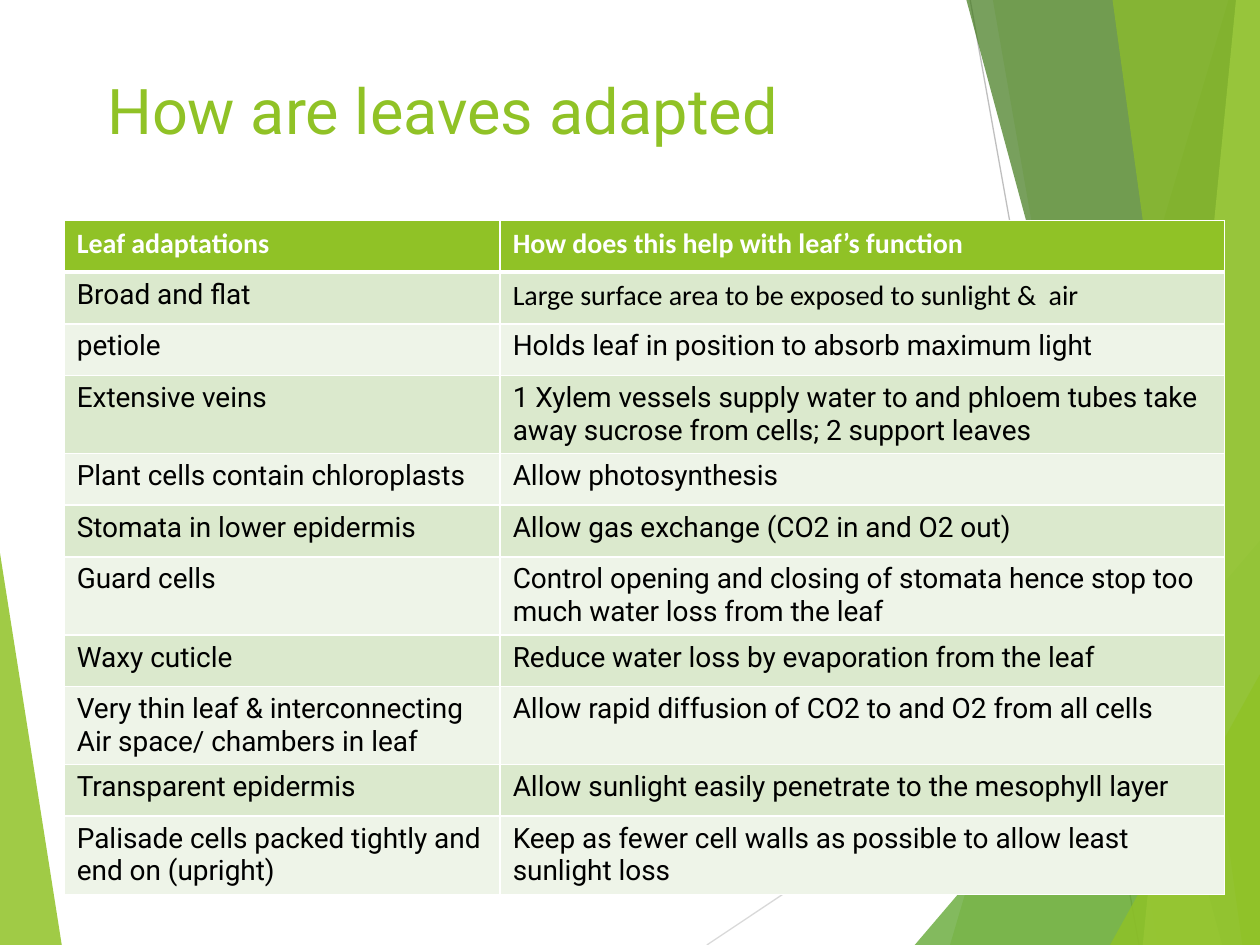
from dataclasses import dataclass

import pptx
import pptx.dml.color
import pptx.enum.shapes
import pptx.enum.text
import pptx.oxml
import pptx.oxml.ns
import pptx.util
from pptx.util import Inches

RGB = pptx.dml.color.RGBColor.from_string


@dataclass(frozen=True)
class Theme:
    lime: str = "90C226"
    green: str = "54A021"
    forest: str = "3F7819"
    pale: str = "C0E474"
    white: str = "FFFFFF"
    black: str = "000000"
    bands: tuple = ("DBE9CD", "EEF4E8")
    body_font: str = "Roboto"
    header_font: str = "Calibri"
    title_size: int = 36
    table_size: int = 16


@dataclass(frozen=True)
class Facet:
    points: tuple
    color: str
    opacity: int


@dataclass(frozen=True)
class Ray:
    start: tuple
    end: tuple
    color: str


@dataclass(frozen=True)
class Adaptation:
    feature: str
    benefit: str
    tall: bool = False
    benefit_font: str = "Roboto"


THEME = Theme()
WIDTH, HEIGHT = 10, 7.5
ROW_HEIGHT, TALL_ROW_HEIGHT = 0.41, 0.62
COLUMN_WIDTHS = (3.46, 5.75)


def right_facet(top: float, bottom: float, color: str, opacity: int) -> Facet:
    points = ((top, 0), (bottom, HEIGHT), (WIDTH, HEIGHT), (WIDTH, 0))
    return Facet(points, color, opacity)


def corner_facet(left: float, top: float, color: str, opacity: int) -> Facet:
    points = ((left, HEIGHT), (WIDTH, top), (WIDTH, HEIGHT))
    return Facet(points, color, opacity)


DECORATIONS = (
    Facet(((0, 4.39), (0.49, HEIGHT), (0, HEIGHT)), THEME.lime, 85),
    Ray((5.61, HEIGHT), (WIDTH, 4.57), "D9D9D9"),
    Ray((7.7, 0), (9.04, HEIGHT), "BFBFBF"),
    right_facet(9.75, 7.54, THEME.lime, 30),
    right_facet(7.88, 9.19, THEME.lime, 20),
    corner_facet(7.26, 4.29, THEME.green, 72),
    right_facet(7.67, 9.7, THEME.forest, 70),
    right_facet(9.81, 9.07, THEME.pale, 70),
    right_facet(8.83, 9.86, THEME.lime, 65),
    corner_facet(8.81, 5.35, THEME.lime, 80),
)

ADAPTATIONS = (
    Adaptation("Broad and flat", "Large surface area to be exposed to sunlight &  air",
               benefit_font="Calibri"),
    Adaptation("petiole", "Holds leaf in position to absorb maximum light"),
    Adaptation("Extensive veins", "1 Xylem vessels supply water to and phloem tubes take "
               "away sucrose from cells; 2 support leaves", tall=True),
    Adaptation("Plant cells contain chloroplasts", "Allow photosynthesis"),
    Adaptation("Stomata in lower epidermis", "Allow gas exchange (CO2 in and O2 out)"),
    Adaptation("Guard cells", "Control opening and closing of stomata hence stop too "
               "much water loss from the leaf", tall=True),
    Adaptation("Waxy cuticle", "Reduce water loss by evaporation from the leaf"),
    Adaptation("Very thin leaf & interconnecting Air space/ chambers in leaf",
               "Allow rapid diffusion of CO2 to and O2 from all cells", tall=True),
    Adaptation("Transparent epidermis", "Allow sunlight easily penetrate to the mesophyll layer"),
    Adaptation("Palisade cells packed tightly and end on (upright)",
               "Keep as fewer cell walls as possible to allow least sunlight loss", tall=True),
)


def draw_facet(s: pptx.slide.Slide, facet: Facet) -> None:
    start, *rest = [(Inches(x), Inches(y)) for x, y in facet.points]
    builder = s.shapes.build_freeform(*start, scale=1.0)
    builder.add_line_segments(rest, close=True)
    sp = builder.convert_to_shape()
    sp.shadow.inherit = False
    sp.line.fill.background()
    sp.fill.solid()
    sp.fill.fore_color.rgb = RGB(facet.color)
    color = sp._element.spPr.find(".//" + pptx.oxml.ns.qn("a:srgbClr"))
    alpha = color.makeelement(pptx.oxml.ns.qn("a:alpha"), {"val": str(facet.opacity * 1000)})
    color.append(alpha)


def draw_ray(s: pptx.slide.Slide, ray: Ray) -> None:
    ends = [Inches(v) for v in (*ray.start, *ray.end)]
    line = s.shapes.add_connector(pptx.enum.shapes.MSO_CONNECTOR.STRAIGHT, *ends)
    line.line.color.rgb = RGB(ray.color)
    line.line.width = pptx.util.Pt(0.75)
    sp_pr = line._element.spPr
    sp_pr.append(sp_pr.makeelement(pptx.oxml.ns.qn("a:effectLst"), {}))


def style_font(font: pptx.text.text.Font, name: str, size: int, color: str,
               bold: bool = False) -> None:
    font.name = name
    font.size = pptx.util.Pt(size)
    font.bold = bold
    font.color.rgb = RGB(color)


def add_borders(cell: pptx.table._Cell, top: float, bottom: float) -> None:
    tc_pr = cell._tc.get_or_add_tcPr()
    for side, points in (("L", 1), ("R", 1), ("T", top), ("B", bottom)):
        tc_pr.append(pptx.oxml.parse_xml(
            f'<a:ln{side} {pptx.oxml.ns.nsdecls("a")} w="{pptx.util.Pt(points)}">'
            f'<a:solidFill><a:srgbClr val="{THEME.white}"/></a:solidFill></a:ln{side}>'))


def fill_cell(cell: pptx.table._Cell, text: str, font: str, row: int) -> None:
    header = row == 0
    add_borders(cell, top=3 if row == 1 else 1, bottom=3 if header else 1)
    cell.fill.solid()
    cell.fill.fore_color.rgb = RGB(THEME.lime if header else THEME.bands[(row - 1) % 2])
    cell.text = text
    style_font(cell.text_frame.paragraphs[0].font, font, THEME.table_size,
               THEME.white if header else THEME.black, header)


def draw_table(s: pptx.slide.Slide) -> None:
    header = Adaptation("Leaf adaptations", "How does this help with leaf’s function",
                        benefit_font=THEME.header_font)
    entries = (header, *ADAPTATIONS)
    heights = [TALL_ROW_HEIGHT if e.tall else ROW_HEIGHT for e in entries]
    table = s.shapes.add_table(len(entries), 2, Inches(0.51), Inches(1.75),
                               Inches(sum(COLUMN_WIDTHS)), Inches(sum(heights))).table
    for column, width in zip(table.columns, COLUMN_WIDTHS):
        column.width = Inches(width)
    for i, (entry, height) in enumerate(zip(entries, heights)):
        table.rows[i].height = Inches(height)
        feature_font = THEME.body_font if i else THEME.header_font
        fill_cell(table.cell(i, 0), entry.feature, feature_font, i)
        fill_cell(table.cell(i, 1), entry.benefit, entry.benefit_font, i)


def set_title(s: pptx.slide.Slide, text: str) -> None:
    title = s.shapes.title
    title.left, title.top = Inches(0.75), Inches(0.52)
    title.width, title.height = Inches(6.94), Inches(1.44)
    tf = title.text_frame
    tf.text = text
    tf.auto_size = pptx.enum.text.MSO_AUTO_SIZE.NONE
    tf.vertical_anchor = pptx.enum.text.MSO_ANCHOR.TOP
    p = tf.paragraphs[0]
    p.alignment = pptx.enum.text.PP_ALIGN.LEFT
    style_font(p.font, THEME.body_font, THEME.title_size, THEME.lime)


def main() -> None:
    prs = pptx.Presentation()
    prs.slide_width, prs.slide_height = Inches(WIDTH), Inches(HEIGHT)
    s = prs.slides.add_slide(prs.slide_layouts[5])
    for item in DECORATIONS:
        if isinstance(item, Facet):
            draw_facet(s, item)
        else:
            draw_ray(s, item)
    set_title(s, "How are leaves adapted")
    draw_table(s)
    prs.save("out.pptx")


if __name__ == "__main__":
    main()
